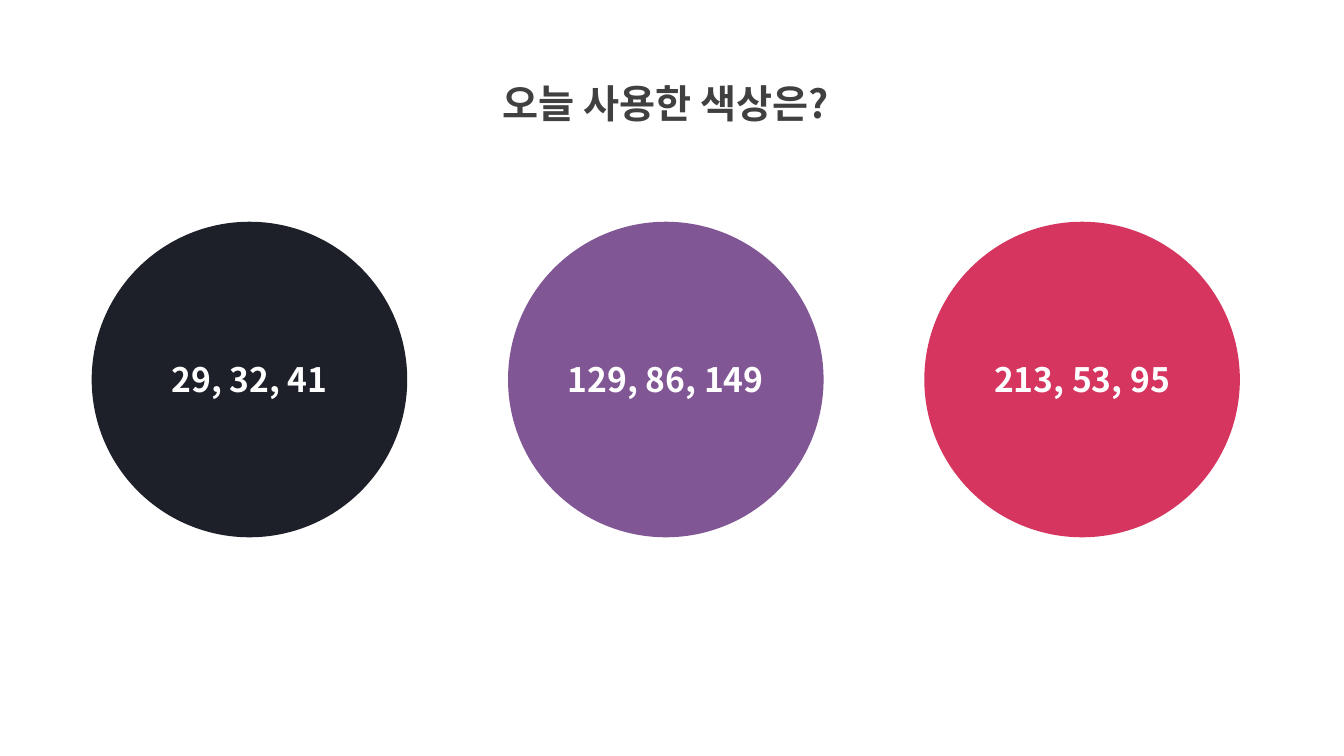
from lxml.etree import SubElement
from pptx import Presentation
from pptx.dml.color import RGBColor
from pptx.enum.shapes import MSO_SHAPE
from pptx.enum.text import MSO_ANCHOR, MSO_AUTO_SIZE, PP_ALIGN
from pptx.oxml.ns import qn
from pptx.util import Pt

FONT = "Noto Sans CJK KR"
WHITE = RGBColor(255, 255, 255)
GRAY = RGBColor(64, 64, 64)
SWATCHES = [RGBColor(29, 32, 41), RGBColor(129, 86, 149), RGBColor(213, 53, 95)]

DIAMETER = 225.4
PITCH = 297.36
LEFT, TOP = 65.52, 158.4


def write_text(tf, text, size, color):
    tf.text = text
    p = tf.paragraphs[0]
    p.alignment = PP_ALIGN.CENTER
    p.font.name = FONT
    p.font.size = Pt(size)
    p.font.bold = True
    p.font.color.rgb = color
    ea = SubElement(p._p.pPr.find(qn("a:defRPr")), qn("a:ea"))
    ea.set("typeface", FONT)
    return p


def set_title(s, text):
    sp = s.shapes.title
    sp.left, sp.top, sp.width, sp.height = Pt(308.9), Pt(36), Pt(333.4), Pt(51.8)
    tf = sp.text_frame
    tf.word_wrap = True
    tf.auto_size = MSO_AUTO_SIZE.SHAPE_TO_FIT_TEXT
    tf.vertical_anchor = MSO_ANCHOR.TOP
    p = write_text(tf, text, 28, GRAY)
    p.line_spacing = 1.5


def add_swatch(s, left, color):
    sp = s.shapes.add_shape(
        MSO_SHAPE.OVAL, Pt(left), Pt(TOP), Pt(DIAMETER), Pt(DIAMETER))
    sp.shadow.inherit = False
    sp.fill.solid()
    sp.fill.fore_color.rgb = color
    sp.line.fill.background()
    tf = sp.text_frame
    tf.vertical_anchor = MSO_ANCHOR.MIDDLE
    write_text(tf, ", ".join(map(str, color)), 24, WHITE)


def main():
    prs = Presentation()
    prs.slide_width, prs.slide_height = Pt(960), Pt(540)
    s = prs.slides.add_slide(prs.slide_layouts[5])
    set_title(s, "오늘 사용한 색상은?")
    for i, color in enumerate(SWATCHES):
        add_swatch(s, LEFT + i * PITCH, color)
    prs.save("out.pptx")


if __name__ == "__main__":
    main()
